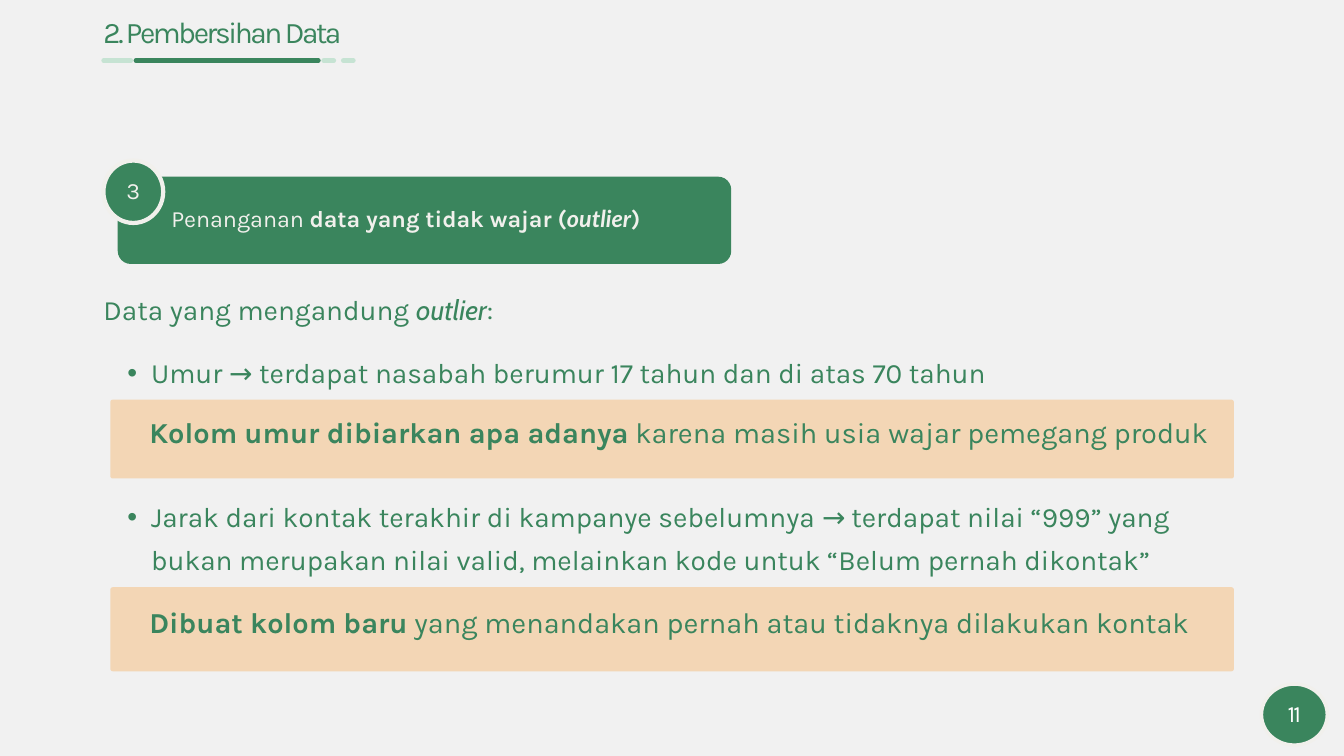
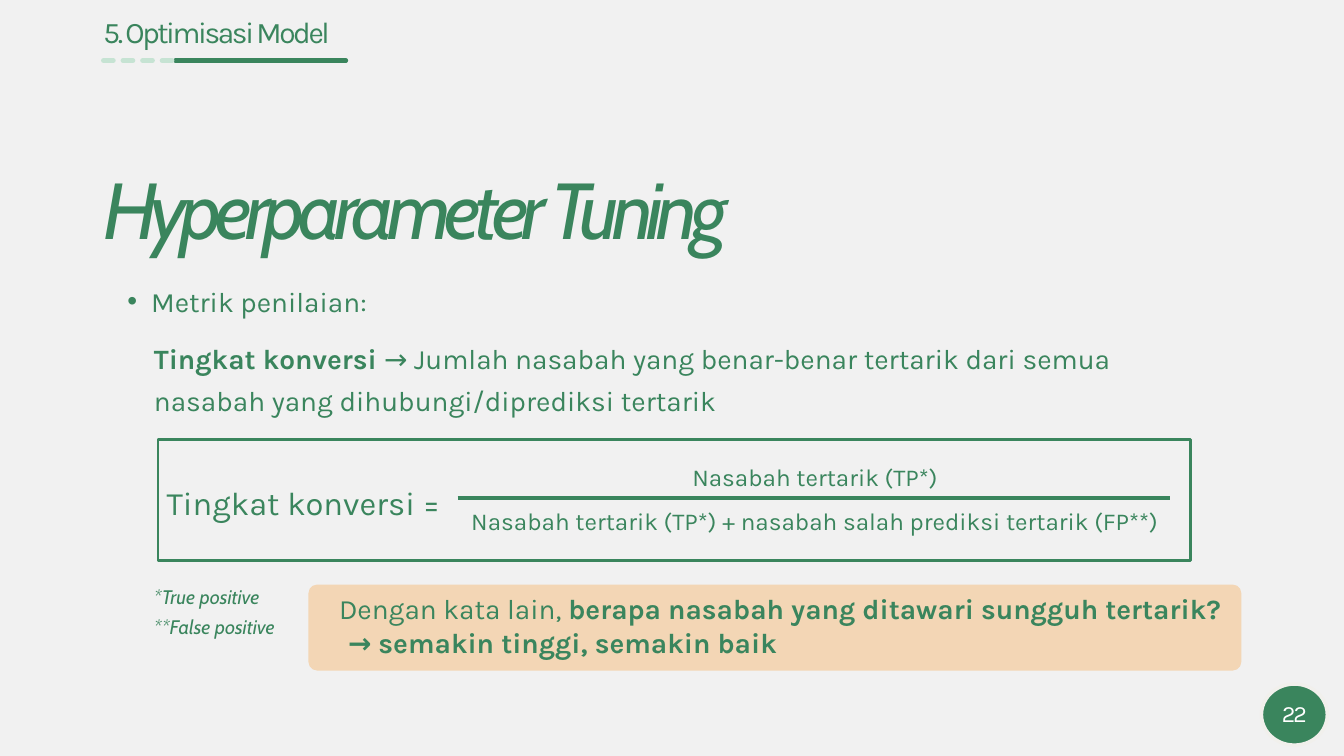
"""Build two slides on data cleaning and model optimisation."""
from lxml import etree
from pptx import Presentation
from pptx import util as u
from pptx.dml.color import RGBColor
from pptx.enum import dml, shapes, text
from pptx.oxml.ns import qn

GREEN = RGBColor(0x3A, 0x85, 0x5D)
MINT = RGBColor(0xC6, 0xE3, 0xD3)
PEACH = RGBColor(0xF3, 0xD6, 0xB5)
PAPER = RGBColor(0xF1, 0xF1, 0xF1)
IVORY = RGBColor(0xF1, 0xF0, 0xEC)
WHITE = RGBColor(0xFF, 0xFF, 0xFF)
BODY, SLANTED, SLANTED_BOLD = "Karla", "Cabin", "Lato"
LEFT = 3.91
RULE_Y = 2.29
BODY_LEADING = 45.3


class Deck:
    """Hold the presentation style and the current slide."""

    def __init__(self):
        self.prs = Presentation()
        self.prs.slide_width, self.prs.slide_height = u.Cm(50.8), u.Cm(28.58)
        self.slide = None

    def new_slide(self, heading, segments, number):
        """Start a slide with its heading, progress rule and page number."""
        self.slide = self.prs.slides.add_slide(self.prs.slide_layouts[6])
        fill = self.slide.background.fill
        fill.solid()
        fill.fore_color.rgb = PAPER
        self.label((LEFT, 0.79, 10.39, 1.14), [[heading]], 32, 30.7, spacing=-2.6)
        for start, end, color, dashed in segments:
            self.rule(start, end, RULE_Y, color, 5.25 if dashed else 4.5, dashed)
        self.badge((47.68, 25.86, 2.49, 2.31), number, WHITE, 3.75)

    def set_text(self, frame, paragraphs, size, leading, color=GREEN, spacing=0,
                 align=text.PP_ALIGN.LEFT):
        """Fill a frame; a run is plain text or (text, bold, font)."""
        frame.word_wrap = True
        for index, runs in enumerate(paragraphs):
            paragraph = frame.add_paragraph() if index else frame.paragraphs[0]
            paragraph.alignment = align
            paragraph.line_spacing = u.Pt(leading)
            for item in runs:
                words, bold, font = (item, False, BODY) if isinstance(item, str) else item
                run = paragraph.add_run()
                run.text = words
                run.font.name, run.font.size = font, u.Pt(size)
                run.font.bold, run.font.italic = bold, font != BODY
                run.font.color.rgb = color
                if spacing:
                    run.font._element.set("spc", str(round(spacing * 100)))

    def inset(self, frame, left=0, top=0, right=0, bottom=0):
        """Set the four margins of a frame."""
        frame.margin_left, frame.margin_top = u.Cm(left), u.Cm(top)
        frame.margin_right, frame.margin_bottom = u.Cm(right), u.Cm(bottom)

    def indent(self, paragraph, left, first=0):
        """Indent a paragraph and its first line."""
        props = paragraph._p.get_or_add_pPr()
        props.set("marL", str(int(u.Cm(left))))
        props.set("indent", str(int(u.Cm(first))))
        return props

    def label(self, box, paragraphs, size, leading, **style):
        """Add a text box without margins."""
        frame = self.slide.shapes.add_textbox(*map(u.Cm, box)).text_frame
        self.inset(frame)
        self.set_text(frame, paragraphs, size, leading, **style)
        return frame

    def bullet(self, box, words):
        """Add one bulleted paragraph."""
        paragraph = self.label(box, [[words]], 30, BODY_LEADING).paragraphs[0]
        paragraph.level = 1
        props = self.indent(paragraph, 1.8, -0.89)
        etree.SubElement(props, qn("a:buFont")).set("typeface", "Arial")
        etree.SubElement(props, qn("a:buChar")).set("char", "•")

    def shape(self, kind, box, fill=None, line=None, width=0):
        """Add a flat preset shape."""
        shape = self.slide.shapes.add_shape(kind, *map(u.Cm, box))
        shape.shadow.inherit = False
        if fill is None:
            shape.fill.background()
        else:
            shape.fill.solid()
            shape.fill.fore_color.rgb = fill
        if line is None:
            shape.line.fill.background()
        else:
            shape.line.color.rgb = line
            shape.line.width = u.Pt(width)
        return shape

    def panel(self, box, fill, radius, paragraphs, size, leading, left, lift,
              color=GREEN):
        """Add a rounded panel whose text sits above the middle by half the lift."""
        panel = self.shape(shapes.MSO_SHAPE.ROUNDED_RECTANGLE, box, fill)
        panel.adjustments[0] = radius
        frame = panel.text_frame
        frame.vertical_anchor = text.MSO_ANCHOR.MIDDLE
        self.inset(frame, left=left, bottom=lift)
        self.set_text(frame, paragraphs, size, leading, color)
        return frame

    def badge(self, box, number, color, width):
        """Add a numbered circle."""
        frame = self.shape(shapes.MSO_SHAPE.OVAL, box, GREEN, IVORY, width).text_frame
        frame.vertical_anchor = text.MSO_ANCHOR.MIDDLE
        self.inset(frame, top=0.25)
        self.set_text(frame, [[number]], 25, 19.2, color, -2, text.PP_ALIGN.CENTER)

    def rule(self, start, end, y, color, width, dashed=False, rounded=True):
        """Add a horizontal line."""
        rule = self.slide.shapes.add_connector(
            shapes.MSO_CONNECTOR.STRAIGHT, u.Cm(start), u.Cm(y), u.Cm(end), u.Cm(y))
        rule.line.color.rgb = color
        rule.line.width = u.Pt(width)
        if dashed:
            rule.line.dash_style = dml.MSO_LINE.SQUARE_DOT
        props = rule._element.spPr
        if rounded:
            props.find(qn("a:ln")).set("cap", "rnd")
        etree.SubElement(props, qn("a:effectLst"))


def outlier_slide(deck):
    """Show how outliers are handled."""
    deck.new_slide("2. Pembersihan Data", [
        (5.13, 12.04, GREEN, False),
        (LEFT, 4.95, MINT, False),
        (12.24, 13.61, MINT, True)], "11")
    deck.panel((4.45, 6.68, 23.19, 3.3), GREEN, 0.15, [[
        "Penanganan ", ("data yang tidak wajar (", True, BODY),
        ("outlier", True, SLANTED_BOLD), (")", True, BODY)]],
        25, 30.2, 1.88, 0.2, IVORY)
    deck.badge((LEFT, 6.07, 2.26, 2.36), "3", IVORY, 4.5)
    deck.label((LEFT, 11.02, 20.3, 1.3), [[
        "Data yang mengandung ", ("outlier", False, SLANTED), ":"]], 30, 36.6)
    findings = [
        (13.13, 1.55, "Umur → terdapat nasabah berumur 17 tahun dan di atas 70 tahun",
         15.11, 2.98, "Kolom umur dibiarkan apa adanya",
         " karena masih usia wajar pemegang produk"),
        (18.57, 3.15, "Jarak dari kontak terakhir di kampanye sebelumnya → terdapat "
         "nilai “999” yang bukan merupakan nilai valid, melainkan kode untuk "
         "“Belum pernah dikontak”",
         22.2, 3.18, "Dibuat kolom baru",
         " yang menandakan pernah atau tidaknya dilakukan kontak")]
    for top, height, finding, panel_top, panel_height, action, reason in findings:
        deck.bullet((LEFT, top, 41.63, height), finding)
        deck.panel((4.17, panel_top, 42.47, panel_height), PEACH, 0.03,
                   [[(action, True, BODY), reason]], 31, 42.2, 1.45, 0.7)


def tuning_slide(deck):
    """Show the metric used for tuning."""
    deck.new_slide("5. Optimisasi Model", [
        (6.63, 13.08, GREEN, False),
        (LEFT, 6.63, MINT, True)], "22")
    deck.label((LEFT, 6.76, 29.24, 3.05),
               [[("Hyperparameter Tuning", False, SLANTED)]], 85, 81.6, spacing=-7)
    deck.bullet((LEFT, 10.41, 39.85, 1.55), "Metrik penilaian:")
    deck.label((5.82, 12.57, 37.97, 3.15), [[
        ("Tingkat konversi ", True, BODY),
        "→ Jumlah nasabah yang benar-benar tertarik dari semua nasabah yang "
        "dihubungi/diprediksi tertarik"]], 30, BODY_LEADING)

    deck.shape(shapes.MSO_SHAPE.RECTANGLE, (5.97, 16.61, 39.04, 4.58),
               line=GREEN, width=3)
    deck.label((6.3, 17.86, 11.8, 1.7), [["Tingkat konversi ="]], 35, 52.9)
    deck.rule(17.3, 44.22, 18.82, GREEN, 4, rounded=False)
    for top, term in [
            (17.3, "Nasabah tertarik (TP*)"),
            (18.97, "Nasabah tertarik (TP*) + nasabah salah prediksi tertarik (FP**)")]:
        deck.label((15.95, top, 29.72, 1.22), [[term]], 26, 36.4,
                   align=text.PP_ALIGN.CENTER)

    deck.label((5.82, 21.89, 5.5, 2.21), [
        [("*True positive", False, SLANTED)],
        [("**False positive", False, SLANTED)]], 21, 31.7)
    meaning = deck.panel((11.66, 22.1, 35.26, 3.25), PEACH, 0.1, [
        ["Dengan kata lain, ",
         ("berapa nasabah yang ditawari sungguh tertarik?", True, BODY)],
        [("→ semakin tinggi, semakin baik", True, BODY)]], 30, 36.3, 1.06, 0.2)
    deck.indent(meaning.paragraphs[1], 0.34)


def main():
    """Build and save the deck."""
    deck = Deck()
    outlier_slide(deck)
    tuning_slide(deck)
    deck.prs.save("out.pptx")


if __name__ == "__main__":
    main()
